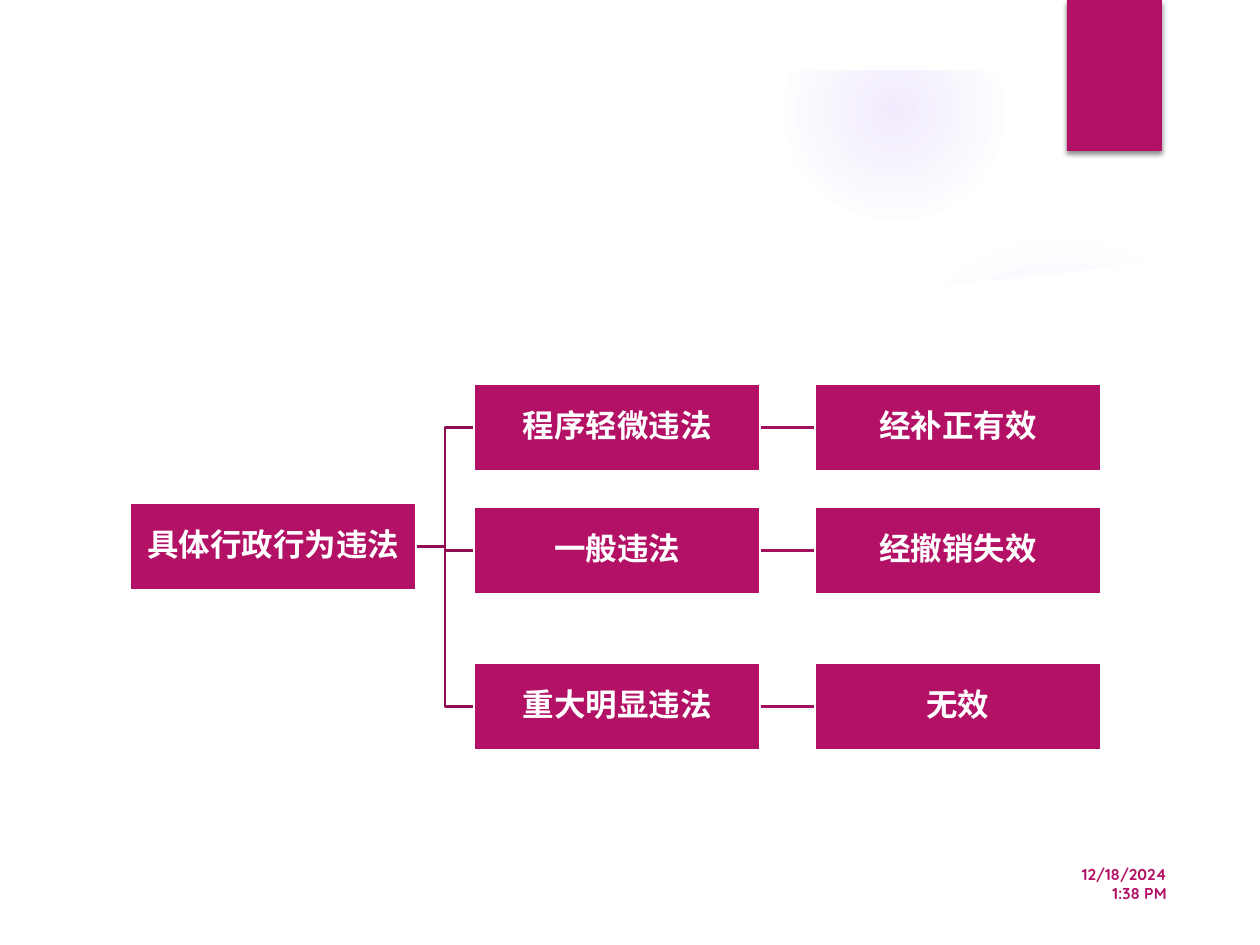
import pptx
import pptx.util
import pptx.dml.color
import pptx.enum.shapes
import pptx.enum.text
import pptx.oxml
import pptx.oxml.ns

EMU_PER_PX = 914400 / 126
SHAPE = pptx.enum.shapes.MSO_SHAPE
CONNECTOR = pptx.enum.shapes.MSO_CONNECTOR
ANCHOR = pptx.enum.text.MSO_ANCHOR
ALIGN = pptx.enum.text.PP_ALIGN
FONT = "Quicksand"
MAGENTA, WHITE, GLOW = "B31166", "FFFFFF", "9B6BF2"
BOX_W, BOX_H = 286, 87
ROOT = (130, 503, "具体行政行为违法")
KIND_X, RESULT_X = 474, 815
BRANCHES = [
    (384, "程序轻微违法", "经补正有效"),
    (507, "一般违法", "经撤销失效"),
    (663, "重大明显违法", "无效"),
]
BODY_CURVE = [(67, 256), (165, 268), (280, 280), (387, 288), (509, 293),
              (597, 295), (738, 295), (837, 291), (937, 286), (1040, 276),
              (1142, 263), (1193, 256)]


def px(n):
    return pptx.util.Emu(round(n * EMU_PER_PX))


def rgb(color):
    return pptx.dml.color.RGBColor.from_string(color)


def xml(body):
    ns = pptx.oxml.ns.nsdecls("a")
    return pptx.oxml.parse_xml(body.replace(" ", f" {ns} ", 1) if " " in body.split(">")[0]
                               else body.replace(">", f" {ns}>", 1))


def add_shape(s, kind, x, y, w, h, fill=None):
    sp = s.shapes.add_shape(kind, px(x), px(y), px(w), px(h))
    sp.shadow.inherit = False
    sp.line.fill.background()
    if fill:
        sp.fill.solid()
        sp.fill.fore_color.rgb = rgb(fill)
    return sp


def add_glow(s, x, y, size, stops):
    """Circle that fades outwards; stops are (position %, opacity %)."""
    sp = add_shape(s, SHAPE.OVAL, x, y, size, size)
    gs = "".join(f'<a:gs pos="{pos * 1000}"><a:srgbClr val="{GLOW}">'
                 f'<a:alpha val="{alpha * 1000}"/></a:srgbClr></a:gs>'
                 for pos, alpha in stops)
    center = '<a:fillToRect l="50000" t="50000" r="50000" b="50000"/>'
    grad = xml(f'<a:gradFill><a:gsLst>{gs}</a:gsLst>'
               f'<a:path path="circle">{center}</a:path></a:gradFill>')
    sp._element.spPr.find(pptx.oxml.ns.qn("a:prstGeom")).addnext(grad)


def add_body(s):
    """White page area with a curved upper edge."""
    fb = s.shapes.build_freeform(*BODY_CURVE[0], scale=EMU_PER_PX)
    fb.add_line_segments(BODY_CURVE[1:] + [(1193, 881), (67, 881)], close=True)
    sp = fb.convert_to_shape()
    sp.shadow.inherit = False
    sp.fill.solid()
    sp.fill.fore_color.rgb = rgb(WHITE)
    sp.line.fill.background()


def add_background(s):
    add_glow(s, 868, 231, 388, [(0, 7), (36, 6), (69, 0)])
    add_glow(s, 784, 0, 220, [(0, 14), (36, 7), (73, 0)])
    add_body(s)
    frame = add_shape(s, SHAPE.FRAME, 0, 0, 1260, 945, WHITE)
    frame.adjustments[0] = 0.07
    frame.adjustments[0] = 70 / 945
    tab = add_shape(s, SHAPE.RECTANGLE, 1067, 0, 95, 151, MAGENTA)
    effects = tab._element.spPr.find(pptx.oxml.ns.qn("a:effectLst"))
    effects.append(xml('<a:outerShdw blurRad="38100" dist="25400" dir="5400000">'
                       '<a:srgbClr val="000000"><a:alpha val="45000"/></a:srgbClr>'
                       '</a:outerShdw>'))


def set_text(tf, text, size, color, align, anchor):
    tf.word_wrap = True
    tf.vertical_anchor = anchor
    p = tf.paragraphs[0]
    p.text = text
    p.alignment = align
    font = p.runs[0].font
    font.name, font.size, font.bold = FONT, pptx.util.Pt(size), True
    font.color.rgb = rgb(color)
    return p


def add_box(s, x, y, text):
    sp = add_shape(s, SHAPE.RECTANGLE, x, y, BOX_W, BOX_H, MAGENTA)
    sp.line.color.rgb = rgb(WHITE)
    sp.line.width = pptx.util.Pt(1.5)
    tf = sp.text_frame
    tf.margin_left = tf.margin_right = tf.margin_top = tf.margin_bottom = px(1)
    p = set_text(tf, text, 18, WHITE, ALIGN.CENTER, ANCHOR.MIDDLE)
    p.line_spacing = 0.9
    p.space_after = pptx.util.Pt(6.3)
    return sp


def add_link(s, kind, color):
    """Connector placed behind the boxes; its ends are joined later."""
    cxn = s.shapes.add_connector(kind, 0, 0, 0, 0)
    cxn.line.color.rgb = rgb(color)
    cxn.line.width = pptx.util.Pt(1.5)
    cxn._element.spPr.append(xml("<a:effectLst></a:effectLst>"))
    return cxn


def join(cxn, left, right):
    cxn.begin_connect(left, 3)
    cxn.end_connect(right, 1)


def add_tree(s):
    links = [(add_link(s, CONNECTOR.ELBOW, "8F0E52"),
              add_link(s, CONNECTOR.STRAIGHT, "A20F5D")) for _ in BRANCHES]
    root = add_box(s, *ROOT)
    for (y, kind_text, result_text), (elbow, straight) in zip(BRANCHES, links):
        kind = add_box(s, KIND_X, y, kind_text)
        result = add_box(s, RESULT_X, y, result_text)
        join(elbow, root, kind)
        join(straight, kind, result)


def add_date(s):
    tb = s.shapes.add_textbox(px(1043), px(877), px(136), px(32))
    set_text(tb.text_frame, "12/18/2024 1:38 PM", 9, MAGENTA, ALIGN.RIGHT, ANCHOR.BOTTOM)


def main():
    prs = pptx.Presentation()
    prs.slide_width, prs.slide_height = px(1260), px(945)
    s = prs.slides.add_slide(prs.slide_layouts[6])
    add_background(s)
    add_date(s)
    add_tree(s)
    prs.save("out.pptx")


if __name__ == "__main__":
    main()
